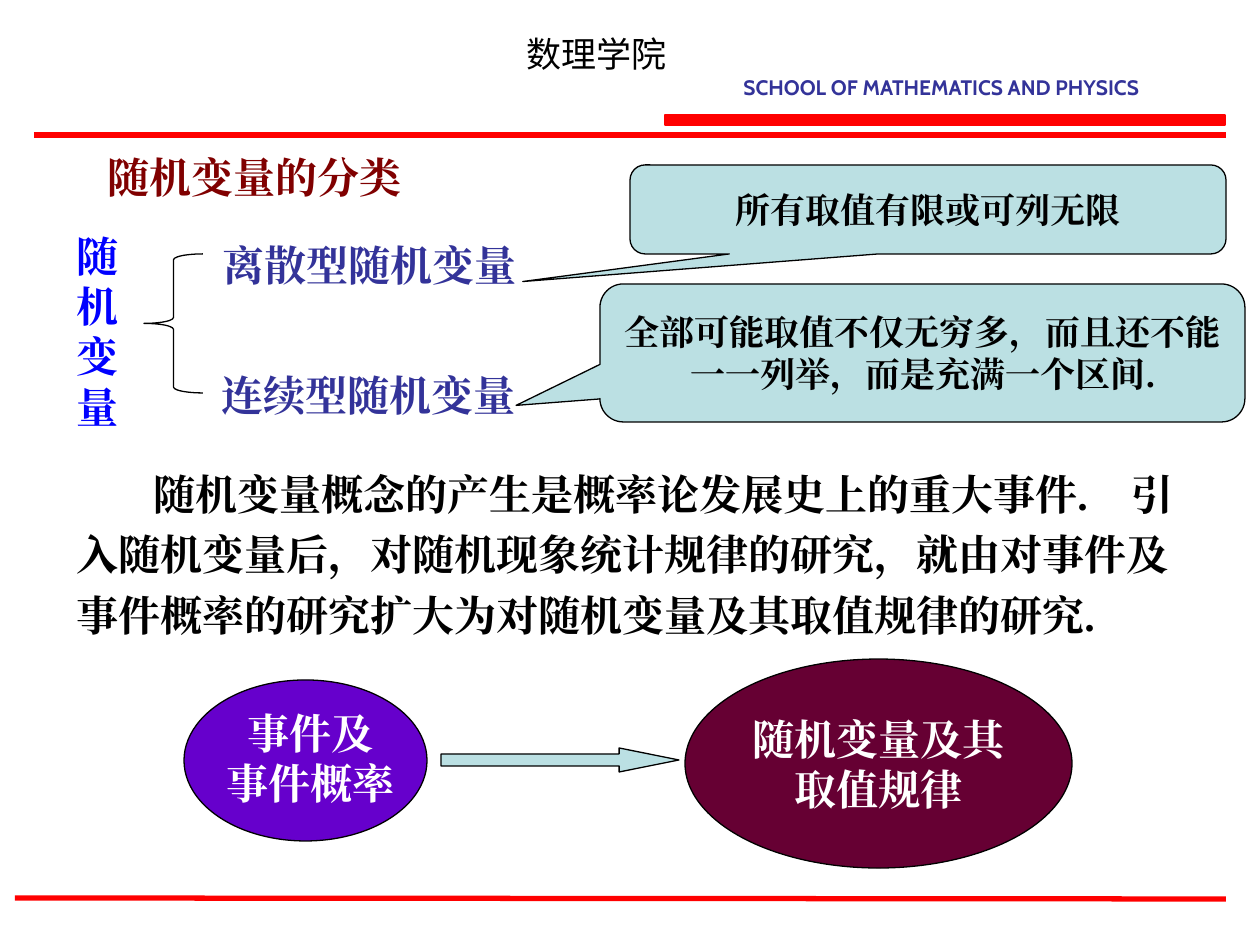
from dataclasses import dataclass

from lxml import etree
from pptx import Presentation
from pptx.dml.color import RGBColor
from pptx.enum.shapes import MSO_CONNECTOR, MSO_SHAPE
from pptx.enum.text import MSO_ANCHOR, MSO_AUTO_SIZE, PP_ALIGN
from pptx.oxml.ns import qn
from pptx.util import Emu, Pt

LEFT, CENTER = PP_ALIGN.LEFT, PP_ALIGN.CENTER
TOP, MIDDLE = MSO_ANCHOR.TOP, MSO_ANCHOR.MIDDLE
NO_FIT = MSO_AUTO_SIZE.NONE
STRAIGHT = MSO_CONNECTOR.STRAIGHT
RECTANGLE, ELLIPSE = MSO_SHAPE.RECTANGLE, MSO_SHAPE.OVAL
ARROW, BRACE = MSO_SHAPE.RIGHT_ARROW, MSO_SHAPE.LEFT_BRACE
CALLOUT = MSO_SHAPE.ROUNDED_RECTANGULAR_CALLOUT

PX_PER_INCH = 126
SERIF, HAN, SANS = "Times New Roman", "Noto Sans CJK SC", "Cabin"
COLORS = {
    "red": "FF0000", "black": "000000", "white": "FFFFFF", "indigo": "333399",
    "blue": "0000FF", "maroon": "800000", "pale": "BBE0E3",
    "purple": "6600CC", "wine": "660033",
}


@dataclass(frozen=True)
class Area:
    left: int
    top: int
    width: int
    height: int


@dataclass(frozen=True)
class Style:
    color: str = "black"
    size: int = 24
    font: str = SERIF
    bold: bool = True
    align: PP_ALIGN = LEFT
    anchor: MSO_ANCHOR = TOP
    wrap: bool = True


@dataclass(frozen=True)
class Label:
    area: Area
    lines: tuple[str, ...]
    style: Style


@dataclass(frozen=True)
class Figure:
    kind: MSO_SHAPE
    area: Area
    fill: str | None = None
    adjustments: tuple[float, ...] = ()
    line: str = "black"
    lines: tuple[str, ...] = ()
    style: Style = Style()


@dataclass(frozen=True)
class Rule:
    start: tuple[int, int]
    end: tuple[int, int]


SHAPE_TEXT = Style(size=20, align=CENTER, anchor=MIDDLE, wrap=False)
ELLIPSE_TEXT = Style("white", align=CENTER, anchor=MIDDLE, wrap=False)

TITLE = Label(Area(95, 145, 348, 113), ("随机变量的分类",), Style("maroon"))
BODY = Label(
    Area(64, 452, 1157, 194),
    ("随机变量概念的产生是概率论发展史上的重大事件.\t引入随机变量后，对随机现象统计规律的研究，"
     "就由对事件及事件概率的研究扩大为对随机变量及其取值规律的研究.",),
    Style(),
)
BODY_INDENT, BODY_TAB = 77, 1065

RULES = (
    Rule((34, 135), (1226, 135)),
    Rule((15, 898), (1226, 899)),
)
FIGURES = (
    Figure(RECTANGLE, Area(665, 115, 560, 10), "red", line="red"),
    Figure(ELLIPSE, Area(184, 680, 243, 161), "purple"),
    Figure(ARROW, Area(441, 748, 238, 24), "pale", (0.5, 2.49)),
    Figure(ELLIPSE, Area(685, 659, 387, 209), "wine",
           lines=("随机变量及其", "取值规律"), style=ELLIPSE_TEXT),
    Figure(BRACE, Area(144, 254, 59, 139), adjustments=(0.1, 0.5)),
    Figure(CALLOUT, Area(630, 165, 596, 89), "pale", (-0.68, 0.81, 0.17),
           lines=("所有取值有限或可列无限",), style=SHAPE_TEXT),
    Figure(CALLOUT, Area(600, 284, 645, 138), "pale", (-0.63, 0.38, 0.17),
           lines=("全部可能取值不仅无穷多，而且还不能", "一一列举，而是充满一个区间."),
           style=SHAPE_TEXT),
)
LABELS = (
    Label(Area(514, 26, 165, 55), ("数理学院",),
          Style(size=20, font=HAN, bold=False, align=CENTER, wrap=False)),
    Label(Area(731, 68, 445, 38), ("SCHOOL OF MATHEMATICS AND PHYSICS",),
          Style("indigo", 12, SANS, wrap=False)),
    Label(Area(214, 701, 193, 113), ("事件及", "事件概率"),
          Style("white", align=CENTER, wrap=False)),
    Label(Area(64, 224, 73, 214), ("随机变量",), Style("blue")),
    Label(Area(210, 233, 340, 63), ("离散型随机变量",), Style("indigo")),
    Label(Area(209, 363, 350, 63), ("连续型随机变量",), Style("indigo")),
)


def px(value: int) -> Emu:
    return Emu(round(value * 914400 / PX_PER_INCH))


def bounds(area: Area) -> tuple[Emu, ...]:
    return px(area.left), px(area.top), px(area.width), px(area.height)


def rgb(name: str) -> RGBColor:
    return RGBColor.from_string(COLORS[name])


def write(shape, lines: tuple[str, ...], style: Style) -> None:
    frame = shape.text_frame
    frame.auto_size = NO_FIT
    frame.word_wrap = style.wrap
    frame.vertical_anchor = style.anchor
    for index, line in enumerate(lines):
        para = frame.add_paragraph() if index else frame.paragraphs[0]
        para.alignment = style.align
        span = para.add_run()
        span.text = line
        span.font.name = style.font
        span.font.size = Pt(style.size)
        span.font.bold = style.bold
        span.font.color.rgb = rgb(style.color)
        # Chinese characters take the East Asian font slot
        east_asian = etree.SubElement(span.font._element, qn("a:ea"))
        east_asian.set("typeface", style.font)


def add_label(page, label: Label):
    box = page.shapes.add_textbox(*bounds(label.area))
    write(box, label.lines, label.style)
    return box


def add_figure(page, figure: Figure) -> None:
    shape = page.shapes.add_shape(figure.kind, *bounds(figure.area))
    shape.shadow.inherit = False
    for index, value in enumerate(figure.adjustments):
        shape.adjustments[index] = value
    if figure.fill:
        shape.fill.solid()
        shape.fill.fore_color.rgb = rgb(figure.fill)
    else:
        shape.fill.background()
    shape.line.color.rgb = rgb(figure.line)
    shape.line.width = Pt(0.75)
    if figure.lines:
        write(shape, figure.lines, figure.style)


def add_rule(page, rule: Rule) -> None:
    ends = [px(value) for value in rule.start + rule.end]
    line = page.shapes.add_connector(STRAIGHT, *ends)
    line.line.color.rgb = rgb("red")
    line.line.width = Pt(3)
    etree.SubElement(line._element.spPr, qn("a:effectLst"))


def add_body(page) -> None:
    para = add_label(page, BODY).text_frame.paragraphs[0]
    para.line_spacing = 1.2
    # First-line indent, and a tab stop for the gap between sentences
    properties = para._p.get_or_add_pPr()
    properties.set("marL", "0")
    properties.set("indent", str(px(BODY_INDENT)))
    tabs = etree.SubElement(properties, qn("a:tabLst"))
    etree.SubElement(tabs, qn("a:tab"), pos=str(px(BODY_TAB)), algn="l")


def main() -> None:
    deck = Presentation()
    deck.slide_width, deck.slide_height = px(1260), px(945)
    page = deck.slides.add_slide(deck.slide_layouts[5])

    # Title
    title = page.shapes.title
    title.left, title.top, title.width, title.height = bounds(TITLE.area)
    write(title, TITLE.lines, TITLE.style)

    # Rules, figures and text
    for rule in RULES:
        add_rule(page, rule)
    for figure in FIGURES:
        add_figure(page, figure)
    for label in LABELS:
        add_label(page, label)
    add_body(page)
    deck.save("out.pptx")


if __name__ == "__main__":
    main()
